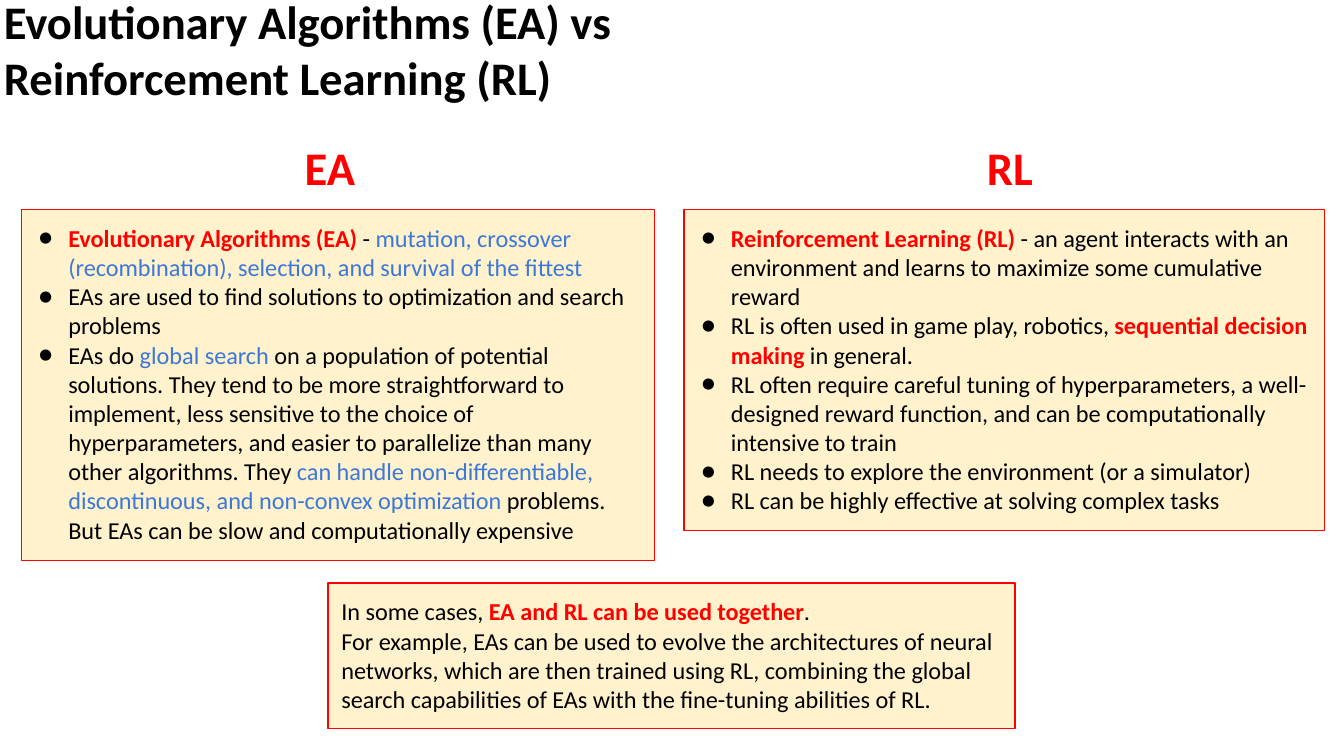
import pptx
import pptx.dml.color
import pptx.enum.shapes
import pptx.enum.text
import pptx.oxml
import pptx.oxml.ns
import pptx.util

Pt = pptx.util.Pt
FONT = "Calibri"
BLACK, RED, BLUE, CREAM = "000000", "FF0000", "3C78D8", "FFF2CC"
KEY = (RED, True)
TOPIC = (BLUE, False)
PLAIN = (BLACK, False)

EA_POINTS = [
    [("Evolutionary Algorithms (EA)", KEY), (" - ", PLAIN),
     ("mutation, crossover (recombination), selection, and survival of the fittest", TOPIC)],
    [("EAs are used to find solutions to optimization and search problems", PLAIN)],
    [("EAs do ", PLAIN), ("global search", TOPIC),
     (" on a population of potential solutions. They tend to be more straightforward to "
      "implement, less sensitive to the choice of hyperparameters, and easier to "
      "parallelize than many other algorithms. They ", PLAIN),
     ("can handle non-differentiable, discontinuous, and non-convex optimization", TOPIC),
     (" problems. But EAs can be slow and computationally expensive", PLAIN)],
]
RL_POINTS = [
    [("Reinforcement Learning (RL)", KEY),
     (" - an agent interacts with an environment and learns to maximize some "
      "cumulative reward", PLAIN)],
    [("RL is often used in game play, robotics, ", PLAIN),
     ("sequential decision making ", KEY), ("in general.", PLAIN)],
    [("RL often require careful tuning of hyperparameters, a well-designed reward "
      "function, and can be computationally intensive to train", PLAIN)],
    [("RL needs to explore the environment (or a simulator)", PLAIN)],
    [("RL can be highly effective at solving complex tasks", PLAIN)],
]
COMBINATION = [
    [("In some cases, ", PLAIN), ("EA and RL can be used together", KEY), (".", PLAIN)],
    [("For example, EAs can be used to evolve the architectures of neural networks, "
      "which are then trained using RL, combining the global search capabilities of "
      "EAs with the fine-tuning abilities of RL.", PLAIN)],
]


def rgb(value):
    return pptx.dml.color.RGBColor.from_string(value)


def add_bullet(paragraph):
    properties = paragraph._p.get_or_add_pPr()
    properties.set("marL", str(Pt(18)))
    properties.set("indent", str(-Pt(16)))
    namespace = pptx.oxml.ns.nsdecls("a")
    for element in (f'<a:buClr {namespace}><a:srgbClr val="{BLACK}"/></a:buClr>',
                    f'<a:buFont {namespace} typeface="{FONT}"/>',
                    f'<a:buChar {namespace} char="●"/>'):
        properties.append(pptx.oxml.parse_xml(element))


def fill_text(shape, paragraphs, size, bulleted=False, centred=False):
    """Write paragraphs, each a list of (text, (colour, bold)) runs."""
    frame = shape.text_frame
    frame.word_wrap = True
    frame.auto_size = pptx.enum.text.MSO_AUTO_SIZE.SHAPE_TO_FIT_TEXT
    frame.vertical_anchor = pptx.enum.text.MSO_ANCHOR.TOP
    frame.margin_left = frame.margin_right = Pt(7.2)
    frame.margin_top = frame.margin_bottom = Pt(7.2)
    alignment = pptx.enum.text.PP_ALIGN
    for index, runs in enumerate(paragraphs):
        paragraph = frame.add_paragraph() if index else frame.paragraphs[0]
        paragraph.alignment = alignment.CENTER if centred else alignment.LEFT
        if bulleted:
            add_bullet(paragraph)
        paragraph.font.name = FONT
        paragraph.font.size = Pt(size)
        for text, (colour, bold) in runs:
            run = paragraph.add_run()
            run.text = text
            run.font.bold = bold
            run.font.color.rgb = rgb(colour)


def add_heading(slide, box, text, colour, centred=False):
    shape = slide.shapes.add_textbox(*map(Pt, box))
    fill_text(shape, [[(text, (colour, True))]], 25, centred=centred)


def add_panel(slide, box, paragraphs, bulleted=False):
    rectangle = pptx.enum.shapes.MSO_SHAPE.RECTANGLE
    shape = slide.shapes.add_shape(rectangle, *map(Pt, box))
    shape.shadow.inherit = False
    shape.fill.solid()
    shape.fill.fore_color.rgb = rgb(CREAM)
    shape.line.color.rgb = rgb(RED)
    shape.line.width = Pt(0.75)
    fill_text(shape, paragraphs, 13, bulleted=bulleted)


def add_method(slide, box, name, heading_left, points):
    """Place a bulleted panel in the box, with its short name above it."""
    left, top, width, height = box
    add_panel(slide, box, points, bulleted=True)
    add_heading(slide, (heading_left, top - 45.4, 51, 44.7), name, RED, centred=True)


def main():
    presentation = pptx.Presentation()
    presentation.slide_width = Pt(720)
    presentation.slide_height = Pt(405)
    slide = presentation.slides.add_slide(presentation.slide_layouts[6])
    add_heading(slide, (-5, -10.8, 371.5, 75),
                "Evolutionary Algorithms (EA) vs Reinforcement Learning (RL)", BLACK)
    add_method(slide, (11.5, 112.4, 339, 188), "EA", 151.2, EA_POINTS)
    add_method(slide, (366.5, 112.4, 343, 172), "RL", 515.5, RL_POINTS)
    add_panel(slide, (175.8, 312.4, 368, 77.8), COMBINATION)
    presentation.save("out.pptx")


if __name__ == "__main__":
    main()
